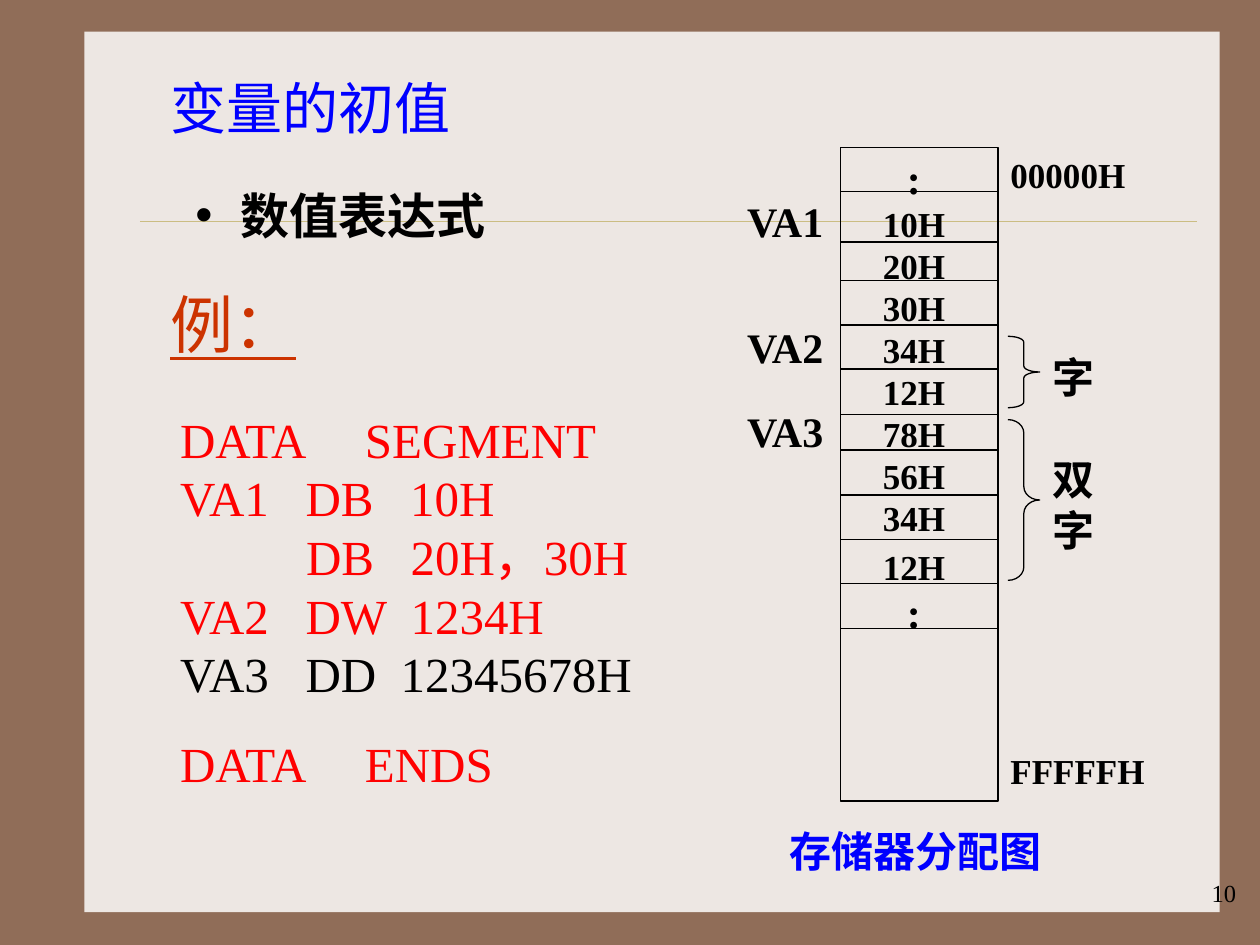
from dataclasses import dataclass

from lxml import etree
from pptx import Presentation
from pptx.dml.color import RGBColor
from pptx.enum.shapes import MSO_CONNECTOR, MSO_SHAPE
from pptx.enum.text import MSO_ANCHOR, PP_ALIGN
from pptx.oxml.ns import qn
from pptx.util import Cm, Pt

STRAIGHT = MSO_CONNECTOR.STRAIGHT
RECTANGLE, RIGHT_BRACE = MSO_SHAPE.RECTANGLE, MSO_SHAPE.RIGHT_BRACE
LEFT, CENTER, RIGHT = PP_ALIGN.LEFT, PP_ALIGN.CENTER, PP_ALIGN.RIGHT
TOP = MSO_ANCHOR.TOP


@dataclass(frozen=True)
class Theme:
    frame: str = "906D58"
    panel: str = "EDE7E3"
    rule: str = "CBBD83"
    ink: str = "000000"
    blue: str = "0000FF"
    orange: str = "CC3300"
    red: str = "FF0000"
    serif: str = "Times New Roman"
    bullet_font: str = "Arial"
    number: int = 14
    cell: int = 20
    label: int = 24
    body: int = 28
    title: int = 32
    example: int = 36
    thin: float = 0.25
    line: float = 0.75


class SlideBuilder:
    def __init__(self, slide, theme):
        self.slide = slide
        self.theme = theme
        background = slide.background.fill
        background.solid()
        background.fore_color.rgb = RGBColor.from_string(theme.frame)

    def format(self, paragraph, size, color=None, bold=False, underline=False):
        for run in paragraph.runs:
            font = run.font
            font.name = self.theme.serif
            font.size = Pt(size)
            font.bold = bold
            font.underline = underline
            font.color.rgb = RGBColor.from_string(color or self.theme.ink)

    def text(self, box, content, size, align=LEFT, **look):
        frame = self.slide.shapes.add_textbox(*map(Cm, box)).text_frame
        frame.word_wrap = True
        frame.text = content
        for paragraph in frame.paragraphs:
            paragraph.alignment = align
            self.format(paragraph, size, **look)
        return frame

    def bullet(self, box, content):
        paragraph = self.text(box, content, self.theme.body, bold=True).paragraphs[0]
        properties = paragraph._p.get_or_add_pPr()
        properties.set("marL", str(Cm(1.22)))
        properties.set("indent", str(-Cm(0.91)))
        etree.SubElement(properties, qn("a:buFont")).set("typeface", self.theme.bullet_font)
        etree.SubElement(properties, qn("a:buChar")).set("char", "•")

    def code(self, box, lines):
        """Write (text, colour, space before) lines, with a tab stop for the operator column."""
        frame = self.text(box, "\n".join(line for line, _, _ in lines), self.theme.body)
        for paragraph, (_, color, gap) in zip(frame.paragraphs, lines):
            tabs = etree.SubElement(paragraph._p.get_or_add_pPr(), qn("a:tabLst"))
            etree.SubElement(tabs, qn("a:tab"), pos=str(Cm(2.54)), algn="l")
            paragraph.line_spacing = Pt(33.5)
            if gap:
                paragraph.space_before = Pt(gap)
            self.format(paragraph, self.theme.body, color)

    def shape(self, kind, box, fill=None, outline=None):
        shape = self.slide.shapes.add_shape(kind, *map(Cm, box))
        shape.shadow.inherit = False
        if fill:
            shape.fill.solid()
            shape.fill.fore_color.rgb = RGBColor.from_string(fill)
        else:
            shape.fill.background()
        if outline:
            shape.line.color.rgb = RGBColor.from_string(outline)
            shape.line.width = Pt(self.theme.line)
        else:
            shape.line.fill.background()
        return shape

    def brace(self, box):
        brace = self.shape(RIGHT_BRACE, box, outline=self.theme.ink)
        _, _, width, height = box
        brace.adjustments[0] = height / width / 12

    def horizontal(self, left, right, y, color, width):
        line = self.slide.shapes.add_connector(STRAIGHT, Cm(left), Cm(y), Cm(right), Cm(y))
        line.line.color.rgb = RGBColor.from_string(color)
        line.line.width = Pt(width)
        etree.SubElement(line._element.spPr, qn("a:effectLst"))

    def memory(self, box, cells, dividers):
        """Draw the memory column: one outline, its contents and the cell borders."""
        theme = self.theme
        column = self.shape(RECTANGLE, box, outline=theme.ink)
        frame = column.text_frame
        frame.vertical_anchor = TOP
        frame.margin_right = Cm(0.46)
        frame.text = "\n".join(cells)
        last_value = len(cells) - 2
        for index, paragraph in enumerate(frame.paragraphs):
            is_dots = cells[index] == ":"
            paragraph.alignment = CENTER
            paragraph.line_spacing = Pt(28 if is_dots or index == last_value else 24)
            self.format(paragraph, theme.label if is_dots else theme.cell, bold=True)
        left, _, width, _ = box
        for y in dividers:
            self.horizontal(left, left + width, y, theme.ink, theme.line)


def main():
    theme = Theme()
    presentation = Presentation()
    presentation.slide_width, presentation.slide_height = Cm(25.4), Cm(19.05)
    page = SlideBuilder(presentation.slides.add_slide(presentation.slide_layouts[6]), theme)

    page.shape(RECTANGLE, (1.7, 0.64, 22.89, 17.75), fill=theme.panel)
    page.horizontal(2.82, 24.13, 4.45, theme.rule, theme.thin)
    page.text((19.89, 17.58, 5.28, 1.27), "10", theme.number, RIGHT)
    page.text((3.18, 1.35, 11.23, 1.63), "变量的初值", theme.title, color=theme.blue)
    page.bullet((3.38, 3.61, 9.53, 1.91), "数值表达式")

    cells = [":", "10H", "20H", "30H", "34H", "12H", "78H", "56H", "34H", "12H", ":"]
    dividers = [3.86, 4.88, 5.66, 6.55, 7.44, 8.36, 9.07, 9.98, 10.87, 11.76, 12.67]
    page.memory((16.94, 2.97, 3.18, 13.18), cells, dividers)

    for variable, top in (("VA1", 3.81), ("VA2", 6.35), ("VA3", 8.05)):
        page.text((14.81, top, 2.3, 1.27), variable, theme.label, bold=True)

    for unit, unit_top, unit_height, brace_top, brace_height in (
        ("字", 6.96, 1.27, 6.78, 1.44),
        ("双字", 9.02, 2.29, 8.46, 3.24),
    ):
        page.brace((20.32, brace_top, 0.64, brace_height))
        page.text((20.96, unit_top, 1.27, unit_height), unit, theme.label, bold=True)

    for address, top in (("00000H", 2.97), ("FFFFFH", 14.99)):
        page.text((20.12, top, 3.6, 1.12), address, theme.cell, bold=True)
    page.text((15.67, 16.51, 6.15, 1.27), "存储器分配图", theme.label,
              color=theme.blue, bold=True)

    page.text((3.18, 5.64, 3.6, 1.78), "例：", theme.example,
              color=theme.orange, underline=True)
    page.code((3.38, 8.13, 11.43, 8), [
        ("DATA     SEGMENT", theme.red, 0),
        ("VA1   DB   10H", theme.red, 0),
        ("    \tDB   20H，30H", theme.red, 0),
        ("VA2   DW  1234H", theme.red, 0),
        ("VA3   DD  12345678H", theme.ink, 0),
        ("DATA     ENDS", theme.red, 17.5),
    ])
    presentation.save("out.pptx")


if __name__ == "__main__":
    main()
